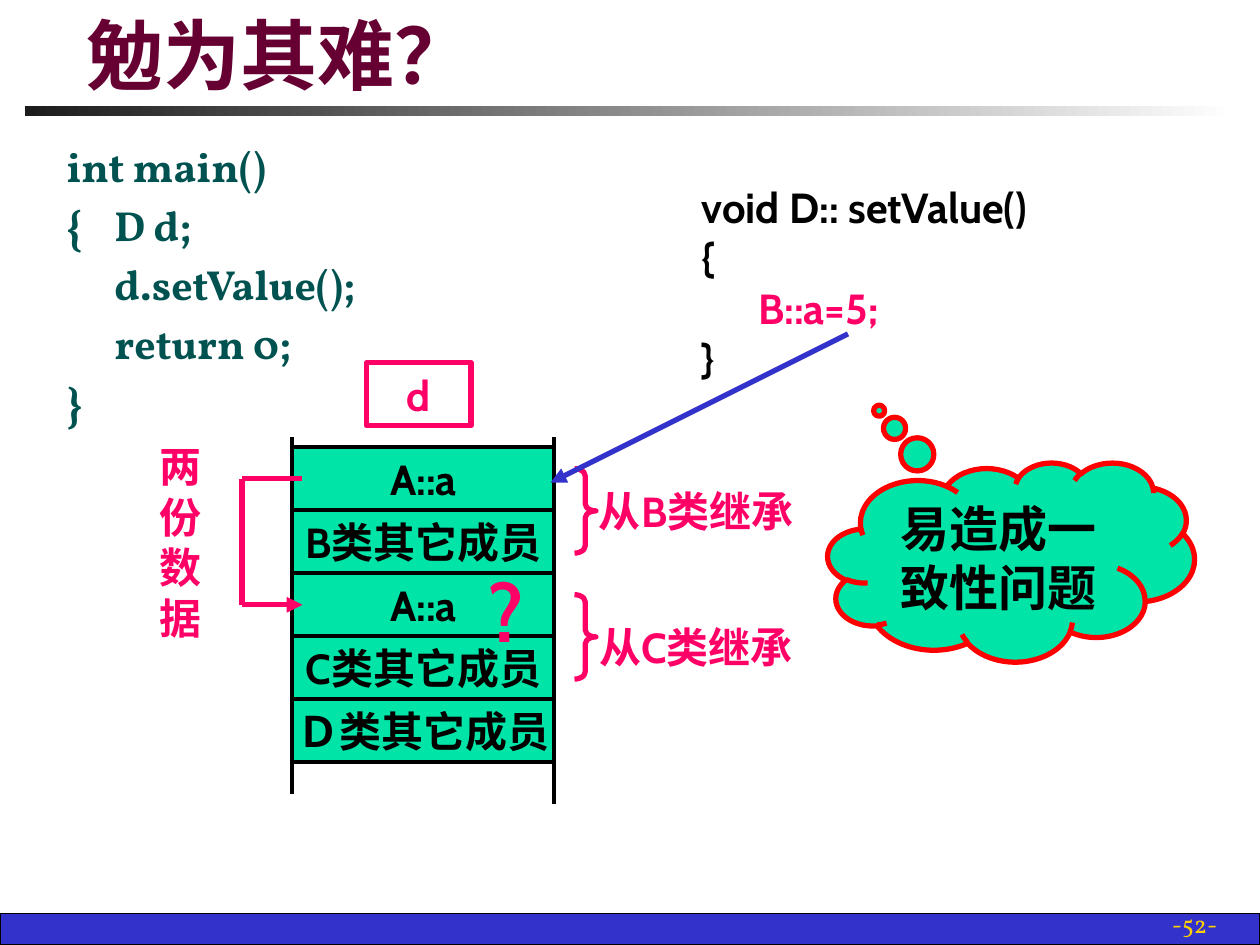
from dataclasses import dataclass

from lxml.etree import SubElement
from pptx import Presentation
from pptx.dml.color import RGBColor as Rgb
from pptx.enum.shapes import MSO_CONNECTOR as Conn, MSO_SHAPE as Kind
from pptx.enum.text import MSO_ANCHOR as Anchor, PP_ALIGN as Align
from pptx.oxml.ns import qn
from pptx.util import Inches, Pt

HUES = {
    "bar": "3333CC", "dark": "1C1C1C", "white": "FFFFFF", "black": "000000",
    "gold": "FFCF01", "title": "660033", "code": "005250",
    "pink": "FF0066", "mint": "00E4A8", "red": "FF0000",
}


@dataclass
class Box:
    left: float
    top: float
    width: float
    height: float

    def args(self) -> tuple:
        return tuple(map(Inches, (self.left, self.top, self.width, self.height)))


@dataclass
class Style:
    hue: str = "black"
    size: int = 24
    font: str = "Cabin"
    bold: bool = True
    align: Align = Align.CENTER
    anchor: Anchor = Anchor.MIDDLE
    wrap: bool = False


def color(name: str) -> Rgb:
    return Rgb.from_string(HUES[name])


def write(shape, text: str, style: Style):
    frame = shape.text_frame
    frame.text = text
    frame.word_wrap = style.wrap
    frame.vertical_anchor = style.anchor
    for para in frame.paragraphs:
        para.alignment = style.align
        for run in para.runs:
            font = run.font
            font.name, font.size, font.bold = style.font, Pt(style.size), style.bold
            font.color.rgb = color(style.hue)
    return frame


def label(slide, box: Box, text: str, style: Style):
    return write(slide.shapes.add_textbox(*box.args()), text, style)


def draw(slide, kind: Kind, box: Box, fill: str = "", line: str = "", width: float = 3):
    shape = slide.shapes.add_shape(kind, *box.args())
    shape.shadow.inherit = False
    if fill:
        shape.fill.solid()
        shape.fill.fore_color.rgb = color(fill)
    else:
        shape.fill.background()
    if line:
        shape.line.color.rgb = color(line)
        shape.line.width = Pt(width)
    else:
        shape.line.fill.background()
    return shape


def link(slide, start: tuple, end: tuple, hue: str, width: float = 3, arrow: bool = False):
    line = slide.shapes.add_connector(Conn.STRAIGHT, *map(Inches, start + end))
    line.line.color.rgb = color(hue)
    line.line.width = Pt(width)
    if arrow:
        SubElement(line.line._get_or_add_ln(), qn("a:tailEnd"), type="triangle")
    SubElement(line._element.spPr, qn("a:effectLst"))


def hang(para, first: bool):
    """Give a code line its hanging indent, and a gap of 20% after the first."""
    props = para._p.get_or_add_pPr()
    props.set("marL", str(Inches(0.38)))
    props.set("indent", str(-Inches(0.38)))
    if first:
        para.space_before = Pt(0)
    else:
        gap = SubElement(props, qn("a:spcBef"))
        SubElement(gap, qn("a:spcPct"), val="20000")
    SubElement(props, qn("a:buNone"))


def frame_page(slide):
    draw(slide, Kind.RECTANGLE, Box(0, 7.25, 10, 0.25), "bar", "black", 0.75)
    rule = draw(slide, Kind.RECTANGLE, Box(0.2, 0.84, 9.61, 0.08))
    rule.fill.gradient()
    rule.fill.gradient_angle = 0
    for stop, hue in zip(rule.fill.gradient_stops, ("dark", "white")):
        stop.color.rgb = color(hue)
    label(slide, Box(7.68, 7.17, 2.08, 0.33), "-52-",
          Style("gold", 14, "Vollkorn", False, Align.RIGHT, Anchor.BOTTOM, True))
    label(slide, Box(0.59, 0.13, 8.72, 0.71), "勉为其难？",
          Style("title", 44, "Comic Neue", True, Align.LEFT, Anchor.BOTTOM, True))


def main():
    deck = Presentation()
    deck.slide_width, deck.slide_height = Inches(10), Inches(7.5)
    slide = deck.slides.add_slide(deck.slide_layouts[6])
    frame_page(slide)
    pink = Style("pink")

    code = label(slide, Box(0.43, 1.07, 9.14, 5.67),
                 "int main()\n{\tD d;\n\td.setValue();\n\treturn 0;\n}",
                 Style("code", 24, "Vollkorn", True, Align.LEFT, Anchor.TOP, True))
    for row, para in enumerate(code.paragraphs):
        hang(para, row == 0)

    # Memory layout of object d
    left, top, wide, step = 2.32, 3.55, 2.08, 0.5
    write(draw(slide, Kind.RECTANGLE, Box(2.91, 2.88, 0.83, step), line="pink"), "d", pink)
    for x, end in ((left, 6.3), (left + wide, 6.38)):
        link(slide, (x, 3.47), (x, end), "black", 2.25)
    cells = ("A::a", "B类其它成员", "A::a", "C类其它成员", "Ｄ类其它成员")
    for row, text in enumerate(cells):
        box = Box(left, top + row * step, wide, step)
        write(draw(slide, Kind.RECTANGLE, box, "mint", "black", 2.25), text, Style())

    for base, y, text in ((3.72, 3.8, "从B类继承"), (4.72, 4.88, "从C类继承")):
        label(slide, Box(4.65, y, 1.75, step), text, pink)
        brace = draw(slide, Kind.RIGHT_BRACE, Box(4.56, base, 0.17, 0.67), line="pink")
        brace.adjustments[0] = 0.33

    # Bracket that joins the two copies of a
    label(slide, Box(1.06, 4.05, 0.75, step), "两份\n数据", pink)
    bend = ((2.4, 3.8), (1.92, 3.8), (1.92, 4.8), (2.4, 4.8))
    for start, end in zip(bend, bend[1:]):
        link(slide, start, end, "pink", arrow=end == bend[-1])

    setter = label(slide, Box(5.47, 1.39, 3.51, 1.7),
                   "void D:: setValue()\n{\n      B::a=5;\n}",
                   Style(align=Align.LEFT, anchor=Anchor.TOP, wrap=True))
    setter.paragraphs[2].runs[0].font.color.rgb = color("pink")
    link(slide, (6.73, 2.65), (4.37, 3.83), "bar", arrow=True)

    cloud = draw(slide, Kind.CLOUD_CALLOUT, Box(6.57, 3.67, 2.91, 1.58), "mint", "red")
    cloud.adjustments[0], cloud.adjustments[1] = -0.36, -0.76
    write(cloud, "易造成一致性问题", Style(size=28, anchor=Anchor.TOP, wrap=True))
    label(slide, Box(3.73, 4.47, 0.58, 0.75), "?", Style("pink", 46))

    deck.save("out.pptx")


if __name__ == "__main__":
    main()
